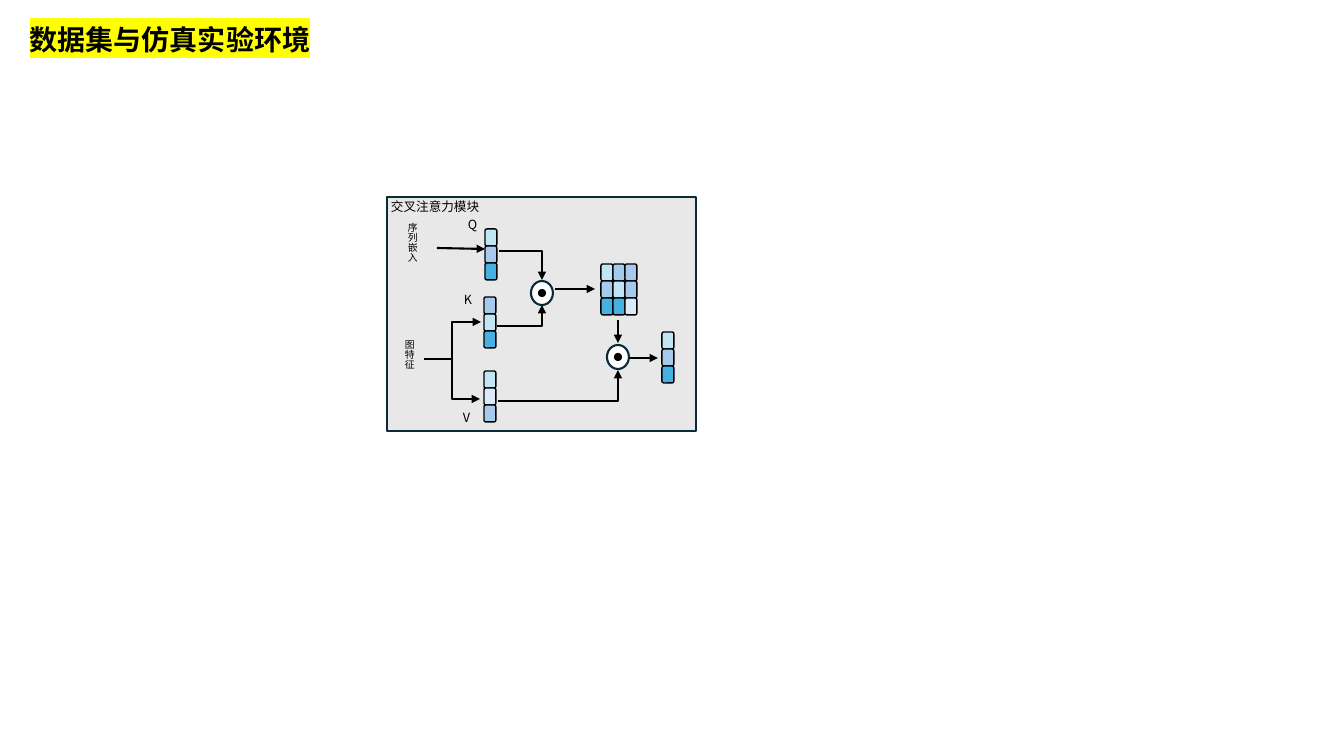
from pptx import Presentation
from pptx.dml.color import RGBColor
from pptx.enum.shapes import MSO_CONNECTOR, MSO_SHAPE
from pptx.enum.text import MSO_ANCHOR, PP_ALIGN
from pptx.oxml.ns import qn
from pptx.util import Pt
from lxml.etree import SubElement

PX = 914400 / 100.8
FONT = "Noto Sans CJK SC"
BLACK = RGBColor(0x00, 0x00, 0x00)
WHITE = RGBColor(0xFF, 0xFF, 0xFF)
NAVY = RGBColor(0x09, 0x2A, 0x39)
PANEL_GREY = RGBColor(0xE8, 0xE8, 0xE8)
ICE = RGBColor(0xDC, 0xEA, 0xF7)
PALE = RGBColor(0xC1, 0xE5, 0xF5)
MID = RGBColor(0xA6, 0xCA, 0xEC)
DEEP = RGBColor(0x46, 0xB1, 0xE1)
YELLOW = RGBColor(0xFF, 0xFF, 0x00)

# Content: lengths in px
TITLE = ("数据集与仿真实验环境", (16, 15, 308, 46))
PANEL = (387, 197, 309, 234)
LABELS = [  # text, box, size, line spacing
    ("交叉注意力模块", (381, 196, 141, 25), 9, 0.85),
    ("Q", (458, 212, 33, 28), 9, 1.0),
    ("K", (454, 287, 30, 28), 9, 1.0),
    ("V", (453, 405, 31, 28), 9, 1.0),
    ("图特征", (395, 336, 28, 45), 7, 0.85),
    ("序列嵌入", (398, 219, 39, 57), 7, 0.85),
]
CELL_WIDTH, CELL_HEIGHT = 12, 17
GRIDS = [  # left, top, columns of cell colours from top to bottom
    (485, 229, [(PALE, MID, DEEP)]),
    (484, 297, [(MID, PALE, DEEP)]),
    (484, 371, [(PALE, ICE, MID)]),
    (601, 264, [(PALE, MID, DEEP), (MID, PALE, DEEP), (MID, MID, ICE)]),
    (662, 332, [(PALE, MID, DEEP)]),
]
PRODUCT_WIDTH, PRODUCT_HEIGHT, DOT = 22, 24, 6
PRODUCTS = [(531, 281), (607, 345)]
ARROWS = [  # preset, start, end
    ("line", (437, 248), (485, 249)),
    ("bentConnector3", (424, 359), (480, 399)),
    ("bentConnector3", (424, 359), (481, 322)),
    ("bentConnector2", (499, 251), (542, 280)),
    ("bentConnector2", (497, 326), (542, 305)),
    ("line", (555, 289), (595, 289)),
    ("bentConnector2", (498, 401), (618, 370)),
    ("line", (618, 320), (618, 343)),
    ("line", (629, 358), (658, 358)),
]


def px(*lengths):
    return [round(length * PX) for length in lengths]


def add_text(slide, text, box, size, spacing=1.0, bold=False,
             align=PP_ALIGN.LEFT, anchor=MSO_ANCHOR.TOP, highlight=None):
    frame = slide.shapes.add_textbox(*px(*box)).text_frame
    frame.word_wrap = True
    frame.vertical_anchor = anchor
    paragraph = frame.paragraphs[0]
    paragraph.alignment = align
    paragraph.line_spacing = spacing
    run = paragraph.add_run()
    run.text = text
    run.font.size = Pt(size)
    run.font.bold = bold
    run.font.color.rgb = BLACK
    properties = run.font._element
    if highlight is not None:
        mark = SubElement(properties, qn("a:highlight"))
        SubElement(mark, qn("a:srgbClr"), val=str(highlight))
    for script in ("a:latin", "a:ea"):
        SubElement(properties, qn(script), typeface=FONT)


def add_box(slide, preset, box, fill, line, weight):
    shape = slide.shapes.add_shape(preset, *px(*box))
    shape.shadow.inherit = False
    shape.fill.solid()
    shape.fill.fore_color.rgb = fill
    shape.line.color.rgb = line
    shape.line.width = Pt(weight)
    return shape


def add_arrow(slide, preset, start, end):
    kind = MSO_CONNECTOR.STRAIGHT if preset == "line" else MSO_CONNECTOR.ELBOW
    connector = slide.shapes.add_connector(kind, *px(*start, *end))
    connector.line.color.rgb = BLACK
    connector.line.width = Pt(1.5)
    properties = connector._element.spPr
    properties.find(qn("a:prstGeom")).set("prst", preset)
    SubElement(properties.find(qn("a:ln")), qn("a:tailEnd"), type="triangle")
    SubElement(properties, qn("a:effectLst"))


def main():
    presentation = Presentation()
    presentation.slide_width, presentation.slide_height = px(1344, 756)
    slide = presentation.slides.add_slide(presentation.slide_layouts[6])

    # Heading, panel and labels
    add_text(slide, *TITLE, 20, spacing=0.9, bold=True, align=PP_ALIGN.CENTER,
             anchor=MSO_ANCHOR.BOTTOM, highlight=YELLOW)
    add_box(slide, MSO_SHAPE.RECTANGLE, PANEL, PANEL_GREY, NAVY, 1.5)
    for text, box, size, spacing in LABELS:
        add_text(slide, text, box, size, spacing=spacing)

    # Vectors and attention matrix
    for left, top, columns in GRIDS:
        for column, colours in enumerate(columns):
            for row, colour in enumerate(colours):
                box = (left + column * CELL_WIDTH, top + row * CELL_HEIGHT,
                       CELL_WIDTH, CELL_HEIGHT)
                add_box(slide, MSO_SHAPE.ROUNDED_RECTANGLE, box, colour, BLACK, 1)

    # Product nodes
    for left, top in PRODUCTS:
        add_box(slide, MSO_SHAPE.OVAL, (left, top, PRODUCT_WIDTH, PRODUCT_HEIGHT),
                WHITE, NAVY, 1.5)
        dot_left = left + (PRODUCT_WIDTH - DOT) // 2
        dot_top = top + (PRODUCT_HEIGHT - DOT) // 2
        add_box(slide, MSO_SHAPE.OVAL, (dot_left, dot_top, DOT, DOT),
                BLACK, BLACK, 1.5)

    # Data flow
    for preset, start, end in ARROWS:
        add_arrow(slide, preset, start, end)

    presentation.save("out.pptx")


if __name__ == "__main__":
    main()
